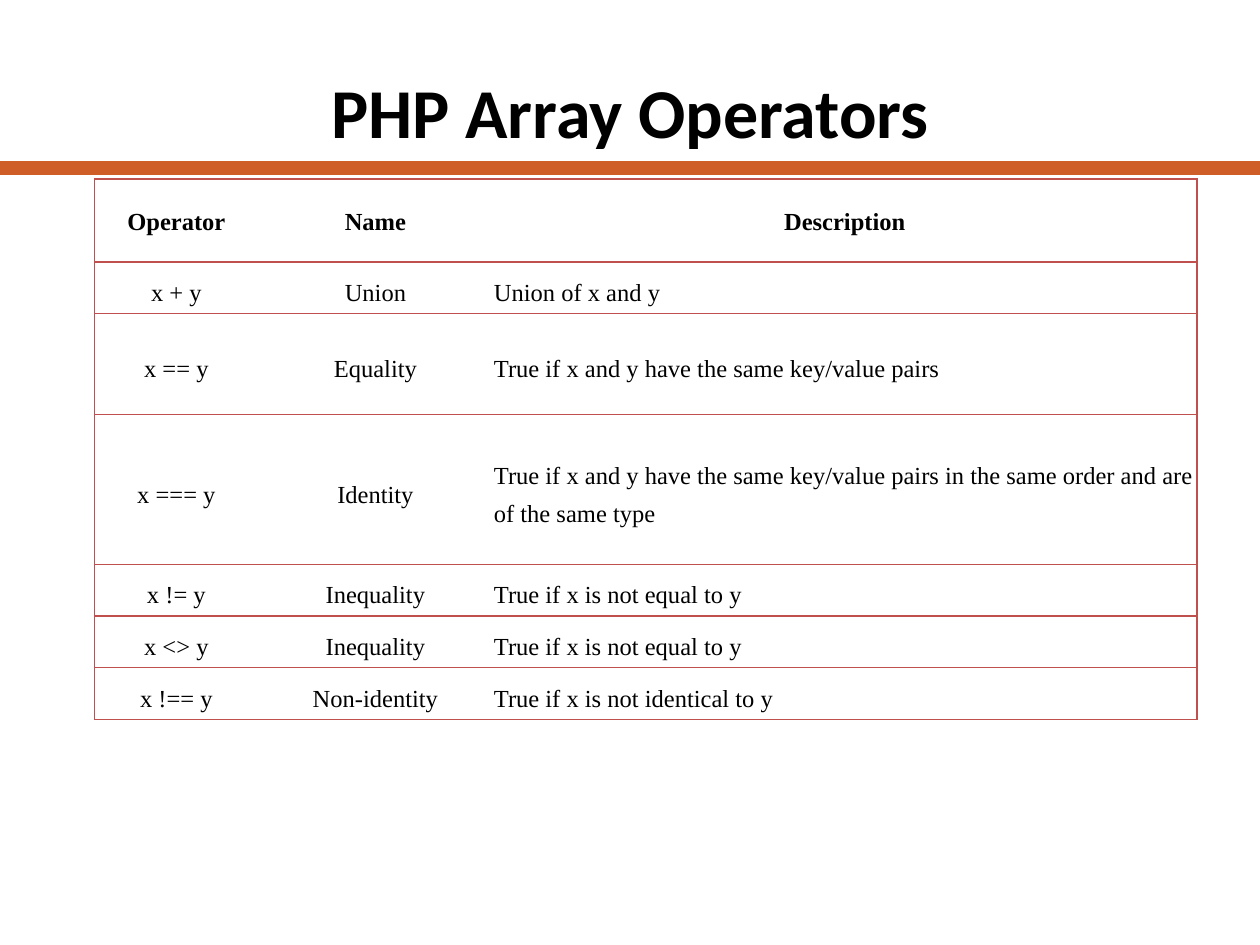
from lxml.etree import SubElement
from pptx import Presentation
from pptx.dml.color import RGBColor
from pptx.enum.shapes import MSO_CONNECTOR
from pptx.enum.text import MSO_ANCHOR, PP_ALIGN
from pptx.oxml.ns import qn
from pptx.util import Inches, Pt

BLACK = RGBColor(0x00, 0x00, 0x00)
WHITE = RGBColor(0xFF, 0xFF, 0xFF)
ORANGE = RGBColor(0xCE, 0x5D, 0x28)
RED = RGBColor(0xC0, 0x50, 0x4D)

COLUMN_WIDTHS = [1.3, 1.86, 5.59]
ROW_HEIGHTS = [0.66, 0.41, 0.8, 1.19, 0.41, 0.41, 0.41]
OPERATORS = [
    ("Operator", "Name", "Description"),
    ("x + y", "Union", "Union of x and y"),
    ("x == y", "Equality", "True if x and y have the same key/value pairs"),
    ("x === y", "Identity",
     "True if x and y have the same key/value pairs in the same order and are of the same type"),
    ("x != y", "Inequality", "True if x is not equal to y"),
    ("x <> y", "Inequality", "True if x is not equal to y"),
    ("x !== y", "Non-identity", "True if x is not identical to y"),
]


def add_text(paragraph, text, font_name, size, bold):
    """Add one black run to a paragraph."""
    run = paragraph.add_run()
    run.text = text
    run.font.name = font_name
    run.font.size = Pt(size)
    run.font.bold = bold
    run.font.color.rgb = BLACK


def set_margins(holder, margin):
    """Give a cell the same margin on all sides."""
    holder.margin_left = holder.margin_right = margin
    holder.margin_top = holder.margin_bottom = margin


def set_borders(cell, visible_sides):
    """Draw the named sides of a cell in red and hide the others."""
    properties = cell._tc.get_or_add_tcPr()
    for side in "LRTB":
        border = SubElement(properties, qn(f"a:ln{side}"), w=str(Pt(1)))
        if side in visible_sides:
            fill = SubElement(border, qn("a:solidFill"))
            SubElement(fill, qn("a:srgbClr"), val=str(RED))
        else:
            SubElement(border, qn("a:noFill"))


def add_rule(slide, left, top, width):
    """Place the thick rule under the title."""
    rule = slide.shapes.add_connector(MSO_CONNECTOR.STRAIGHT, left, top, left + width, top)
    rule.line.color.rgb = ORANGE
    rule.line.width = Pt(8)
    SubElement(rule._element.spPr, qn("a:effectLst"))


def add_title(slide, left, top, width, height):
    """Place the centred slide title."""
    frame = slide.shapes.add_textbox(left, top, width, height).text_frame
    frame.word_wrap = True
    frame.vertical_anchor = MSO_ANCHOR.MIDDLE
    heading = frame.paragraphs[0]
    heading.alignment = PP_ALIGN.CENTER
    add_text(heading, "PHP Array Operators", "Calibri", 40, True)


def add_operator_table(slide, left, top, width, height):
    """Place the table of operators with ruled rows."""
    table = slide.shapes.add_table(
        len(OPERATORS), len(COLUMN_WIDTHS), left, top, width, height).table
    table.first_row = table.horz_banding = False
    for column, column_width in zip(table.columns, COLUMN_WIDTHS):
        column.width = Inches(column_width)
    last = len(COLUMN_WIDTHS) - 1
    for row_index, (row, row_height) in enumerate(zip(table.rows, ROW_HEIGHTS)):
        row.height = Inches(row_height)
        is_header = row_index == 0
        for column_index, text in enumerate(OPERATORS[row_index]):
            cell = table.cell(row_index, column_index)
            set_margins(cell, Inches(0.01))
            cell.vertical_anchor = MSO_ANCHOR.MIDDLE
            set_borders(cell, "TB" + {0: "L", last: "R"}.get(column_index, ""))
            cell.fill.solid()
            cell.fill.fore_color.rgb = WHITE
            entry = cell.text_frame.paragraphs[0]
            centred = is_header or column_index < last
            entry.alignment = PP_ALIGN.CENTER if centred else PP_ALIGN.LEFT
            entry.line_spacing = 1.15 if is_header else 1.4
            add_text(entry, text, "Times New Roman", 14, is_header)


def main():
    """Build and save the slide."""
    presentation = Presentation()
    presentation.slide_width = Inches(10)
    presentation.slide_height = Inches(7.5)
    slide = presentation.slides.add_slide(presentation.slide_layouts[6])
    add_rule(slide, Inches(0), Inches(1.33), Inches(10))
    add_title(slide, Inches(0.5), Inches(0.5), Inches(9), Inches(0.75))
    add_operator_table(slide, Inches(0.75), Inches(1.42), Inches(8.75), Inches(4.3))
    presentation.save("out.pptx")


if __name__ == "__main__":
    main()
